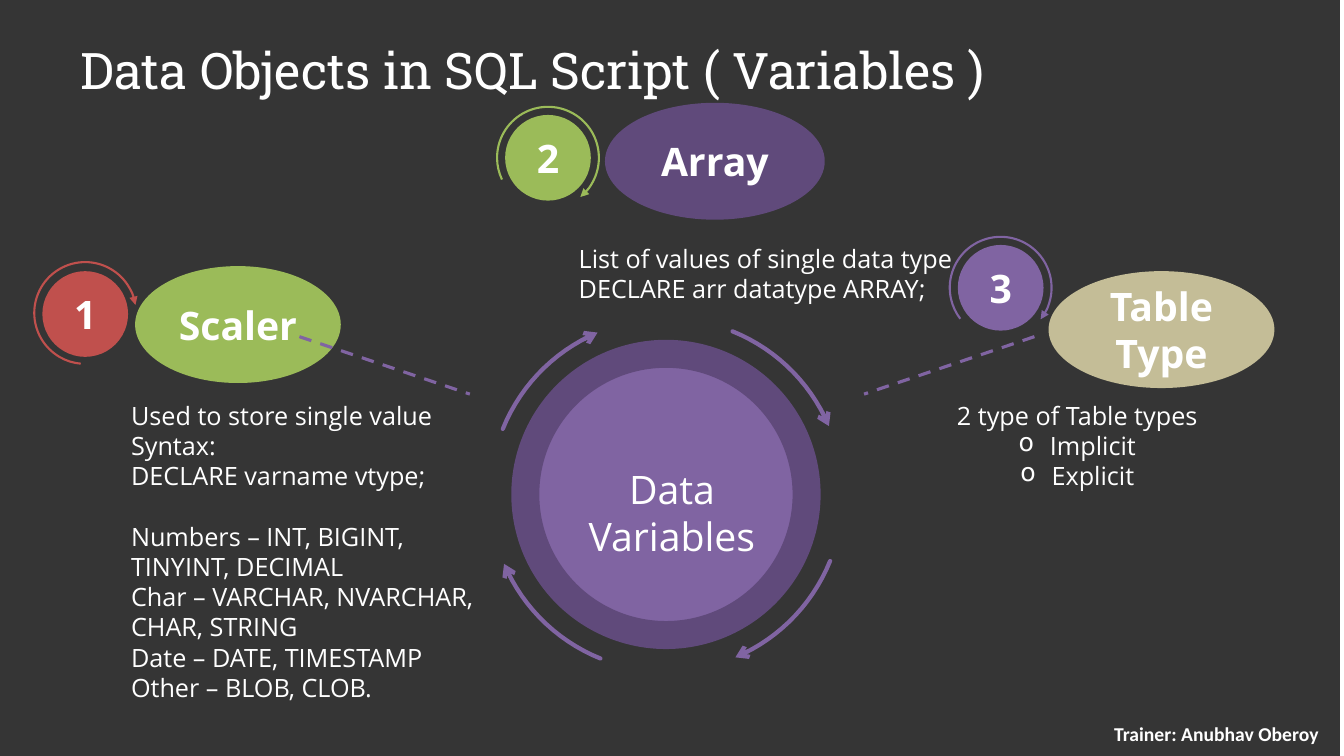
from math import cos, radians, sin

from lxml.etree import SubElement
from pptx import Presentation
from pptx.dml.color import RGBColor
from pptx.enum.dml import MSO_LINE
from pptx.enum.shapes import MSO_CONNECTOR, MSO_SHAPE
from pptx.enum.text import MSO_ANCHOR, MSO_AUTO_SIZE, PP_ALIGN
from pptx.oxml.ns import qn
from pptx.util import Pt

EMU_PER_PX = 9144
COLORS = {
    "white": "FFFFFF", "night": "262626", "purple": "8064A2",
    "plum": "604A7B", "green": "9BBB59", "red": "C0504D", "sand": "C4BD97",
}
RGB = {name: RGBColor.from_string(value) for name, value in COLORS.items()}
BODY = {"name": "Open Sans", "size": Pt(18), "bold": False}
LARGE = {"name": "Open Sans", "size": Pt(28), "bold": False}
LABEL = {"name": "Open Sans", "size": Pt(28), "bold": True}


def emu(*lengths):
    return [round(length * EMU_PER_PX) for length in lengths]


def write(shape, lines, font, align, insets, anchor=MSO_ANCHOR.TOP):
    """Fill a shape with white paragraphs; insets are horizontal and vertical px."""
    frame = shape.text_frame
    frame.text = "\n".join(lines)
    frame.word_wrap = True
    frame.vertical_anchor = anchor
    frame.margin_left, frame.margin_top = emu(*insets)
    frame.margin_right, frame.margin_bottom = emu(*insets)
    for para in frame.paragraphs:
        para.alignment = align
        for span in para.runs:
            span.font.color.rgb = RGB["white"]
            for name, value in font.items():
                setattr(span.font, name, value)
    return frame


deck = Presentation()
deck.slide_width, deck.slide_height = emu(1333, 750)
page = deck.slides.add_slide(deck.slide_layouts[5])
shapes = page.shapes

# Backdrop, slightly transparent over the white page
backdrop = shapes.add_shape(MSO_SHAPE.RECTANGLE, *emu(-4, 0, 1333, 750))
backdrop.shadow.inherit = False
backdrop.fill.solid()
backdrop.fill.fore_color.rgb = RGB["night"]
backdrop.line.fill.background()
tint = backdrop._element.spPr.find(qn("a:solidFill"))[0]
SubElement(tint, qn("a:alpha"), val="93000")

# Title, brought in front of the backdrop
title = shapes.title
title.left, title.top, title.width, title.height = emu(67, 30, 1200, 78)
backdrop._element.addnext(title._element)
write(title, ["Data Objects in SQL Script ( Variables )"],
      {"name": "Roboto Slab", "size": Pt(36), "bold": False},
      PP_ALIGN.LEFT, (13, 7), MSO_ANCHOR.MIDDLE)

trainer = shapes.add_textbox(*emu(1084, 708, 245, 39))
write(trainer, ["Trainer: Anubhav Oberoy"],
      {"name": "Calibri", "size": Pt(14), "bold": True},
      PP_ALIGN.CENTER, (13, 7), MSO_ANCHOR.MIDDLE)

# Central disc with four arrows circling it
disc = shapes.add_shape(MSO_SHAPE.OVAL, *emu(521, 351, 279, 279))
disc.shadow.inherit = False
disc.fill.solid()
disc.fill.fore_color.rgb = RGB["purple"]
disc.line.color.rgb = RGB["plum"]
disc.line.width = Pt(20)

CENTER_X, CENTER_Y, RADIUS = 661, 491, 175
for quarter in range(4):
    first = 22 + 90 * quarter
    points = [
        emu(CENTER_X + RADIUS * cos(radians(angle)), CENTER_Y + RADIUS * sin(radians(angle)))
        for angle in range(first, first + 46, 3)
    ]
    builder = shapes.build_freeform(*points[0])
    builder.add_line_segments(points[1:], close=False)
    arrow = builder.convert_to_shape()
    arrow.shadow.inherit = False
    arrow.fill.background()
    arrow.line.color.rgb = RGB["purple"]
    arrow.line.width = Pt(3)
    outline = arrow._element.spPr.find(qn("a:ln"))
    outline.set("cap", "rnd")
    SubElement(outline, qn("a:tailEnd"), type="arrow")

# Descriptions
scaler_lines = [
    "Used to store single value", "Syntax:", "DECLARE varname vtype;",
    "Numbers – INT, BIGINT, TINYINT, DECIMAL",
    "Char – VARCHAR, NVARCHAR, CHAR, STRING",
    "Date – DATE, TIMESTAMP", "Other – BLOB, CLOB.",
]
table_lines = ["2 type of Table types", "Implicit", "Explicit"]
array_lines = ["List of values of single data type", "DECLARE arr datatype ARRAY;"]
descriptions = [
    ((130, 392, 347, 313), scaler_lines, BODY, PP_ALIGN.LEFT),
    ((945, 392, 247, 101), table_lines, BODY, PP_ALIGN.CENTER),
    ((574, 236, 470, 71), array_lines, BODY, PP_ALIGN.LEFT),
    ((543, 457, 247, 57), ["Data Variables"], LARGE, PP_ALIGN.CENTER),
]
for bounds, lines, font, align in descriptions:
    box = shapes.add_textbox(*emu(*bounds))
    frame = write(box, lines, font, align, (0, 5))
    frame.auto_size = MSO_AUTO_SIZE.SHAPE_TO_FIT_TEXT
    for para in frame.paragraphs:
        if para.text.startswith("Numbers"):
            para.space_before = Pt(21.6)
        if para.text in ("Implicit", "Explicit"):
            properties = para._p.get_or_add_pPr()
            indent = emu(31)[0]
            properties.set("marL", str(indent))
            properties.set("indent", str(-indent))
            SubElement(properties, qn("a:buChar"), char="o")

# Topic ovals and number badges
BADGE = 85
ovals = [
    ((134, 264, 204, 116), "green", "Scaler"),
    ((600, 102, 218, 116), "plum", "Array"),
    ((1040, 269, 224, 116), "sand", "Table Type"),
    ((42, 269, BADGE, BADGE), "red", "1"),
    ((501, 114, BADGE, BADGE), "green", "2"),
    ((950, 243, BADGE, BADGE), "purple", "3"),
]
for bounds, color, label in ovals:
    oval = shapes.add_shape(MSO_SHAPE.OVAL, *emu(*bounds))
    oval.shadow.inherit = False
    oval.fill.solid()
    oval.fill.fore_color.rgb = RGB[color]
    oval.line.fill.background()
    write(oval, [label], LABEL, PP_ALIGN.CENTER, (10, 5), MSO_ANCHOR.MIDDLE)

# Arcs around the badges
RING = BADGE + 16
rings = [(34, 260, 0, "red"), (493, 106, 59.6, "green"), (942, 235, 47.4, "purple")]
for left, top, turn, color in rings:
    ring = shapes.add_shape(MSO_SHAPE.ARC, *emu(left, top, RING, RING))
    ring.adjustments[0], ring.adjustments[1] = 57, 210.54
    ring.rotation = turn
    ring.shadow.inherit = False
    ring.fill.background()
    ring.line.color.rgb = RGB[color]
    ring.line.width = Pt(1.5)
    SubElement(ring._element.spPr.find(qn("a:ln")), qn("a:tailEnd"), type="triangle")

# Dashed links towards the disc
for outer, inner in [(297, 466), (1026, 857)]:
    link = shapes.add_connector(MSO_CONNECTOR.STRAIGHT, *emu(outer, 334, inner, 391))
    link.line.color.rgb = RGB["purple"]
    link.line.width = Pt(2.25)
    link.line.dash_style = MSO_LINE.DASH
    SubElement(link._element.spPr, qn("a:effectLst"))

deck.save("out.pptx")
